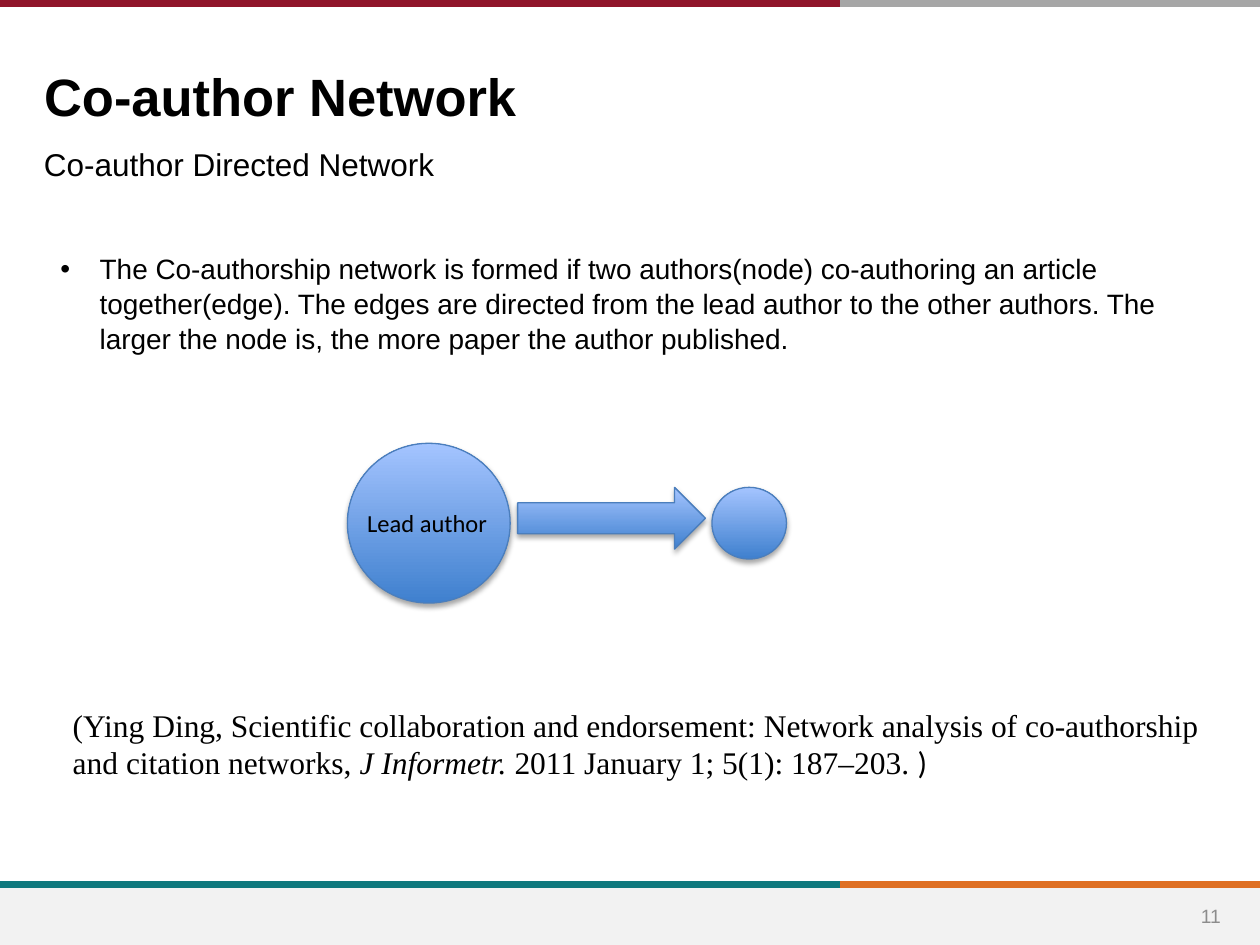
from lxml.etree import SubElement
from pptx import Presentation
from pptx.dml.color import RGBColor
from pptx.enum.shapes import MSO_CONNECTOR, MSO_SHAPE
from pptx.enum.text import MSO_ANCHOR, PP_ALIGN
from pptx.oxml.ns import qn
from pptx.util import Pt

# Content
TITLE = "Co-author Network"
SUBTITLE = "Co-author Directed Network"
BULLET = (
    "The Co-authorship network is formed if two authors(node) co-authoring an article "
    "together(edge). The edges are directed from the lead author to the other authors. "
    "The larger the node is, the more paper the author published."
)
CITATION = [  # text, font, italic
    ("(Ying Ding, Scientific collaboration and endorsement: Network analysis of "
     "co-authorship and citation networks, ", "Times New Roman", False),
    ("J Informetr. ", "Times New Roman", True),
    ("2011 January 1; 5(1): 187–203. ", "Times New Roman", False),
    (")", "Calibri", False),
]
DIAGRAM = [  # preset, left, top, width, height
    (MSO_SHAPE.OVAL, 198.5, 253.3, 93, 91.3),
    (MSO_SHAPE.OVAL, 406.8, 278.5, 42.6, 41),
    (MSO_SHAPE.RIGHT_ARROW, 295.8, 278.5, 107.3, 35.3),
]
COLORS = {
    "black": "000000", "number": "8C8C8C", "footer": "F2F2F2",
    "crimson": "90152A", "gray": "A6A6A6", "teal": "0F787D", "orange": "DF7023",
    "node_dark": "3F80CE", "node_light": "A4C4FF", "node_line": "4B7EBC",
}
WIDTH, HEIGHT, SPLIT = 720, 540, 480
RULES = [(2, "crimson", "gray"), (505.5, "teal", "orange")]  # y, left, right


def color(name):
    return RGBColor.from_string(COLORS[name])


def place(box, left, top, width, height):
    box.left, box.top, box.width, box.height = map(Pt, (left, top, width, height))


def style(span, size, font="Arial", name="black", bold=False, italic=False):
    span.font.size, span.font.name = Pt(size), font
    span.font.bold, span.font.italic = bold, italic
    span.font.color.rgb = color(name)


def write(box, text, size, font="Arial", name="black", bold=False,
          align=PP_ALIGN.LEFT, anchor=MSO_ANCHOR.TOP, wrap=True):
    frame = box.text_frame
    frame.text = text
    frame.word_wrap, frame.vertical_anchor = wrap, anchor
    para = frame.paragraphs[0]
    para.alignment = align
    for span in para.runs:
        style(span, size, font, name, bold)
    return para


def add_text(page, left, top, width, height, text, size, **options):
    box = page.shapes.add_textbox(*map(Pt, (left, top, width, height)))
    return write(box, text, size, **options)


def add_rule(page, start, end, y, name):
    rule = page.shapes.add_connector(
        MSO_CONNECTOR.STRAIGHT, Pt(start), Pt(y), Pt(end), Pt(y))
    rule.line.color.rgb, rule.line.width = color(name), Pt(4)
    SubElement(rule._element.spPr, qn("a:effectLst"))


def add_node(page, preset, *bounds):
    node = page.shapes.add_shape(preset, *map(Pt, bounds))
    node.fill.gradient()
    node.fill.gradient_angle = 90
    for stop, name in zip(node.fill.gradient_stops, ("node_dark", "node_light")):
        stop.color.rgb = color(name)
    node.line.color.rgb, node.line.width = color("node_line"), Pt(0.75)
    # Soft shadow falling straight down
    node.shadow.inherit = False
    effects = node._element.spPr.find(qn("a:effectLst"))
    shadow = SubElement(effects, qn("a:outerShdw"), blurRad=str(Pt(3.1)),
                        dist=str(Pt(1.8)), dir="5400000", rotWithShape="0")
    tone = SubElement(shadow, qn("a:srgbClr"), val=COLORS["black"])
    SubElement(tone, qn("a:alpha"), val="35000")


deck = Presentation()
deck.slide_width, deck.slide_height = Pt(WIDTH), Pt(HEIGHT)
page = deck.slides.add_slide(deck.slide_layouts[5])

# Coloured rules and footer band
for y, left_name, right_name in RULES:
    add_rule(page, SPLIT, WIDTH, y, right_name)
    add_rule(page, 0, SPLIT, y, left_name)
footer = page.shapes.add_shape(
    MSO_SHAPE.RECTANGLE, 0, Pt(507.5), Pt(WIDTH), Pt(HEIGHT - 507.5))
footer.shadow.inherit = False
footer.fill.solid()
footer.fill.fore_color.rgb = color("footer")
footer.line.fill.background()
add_text(page, 673.2, 509, 37.4, 28.8, "11", 11, name="number",
         align=PP_ALIGN.CENTER, anchor=MSO_ANCHOR.MIDDLE)

# Headings
place(page.shapes.title, 18, 33.1, 575.3, 42.5)
write(page.shapes.title, TITLE, 30, bold=True, anchor=MSO_ANCHOR.MIDDLE)
add_text(page, 18, 79.2, 684.7, 32.4, SUBTITLE, 18, wrap=False)

# Explanation
para = add_text(page, 27.4, 139.7, 643.7, 124.6, BULLET, 16)
properties = para._p.get_or_add_pPr()
properties.set("marL", str(Pt(22.5)))
properties.set("indent", str(-Pt(22.5)))
SubElement(properties, qn("a:buFont"), typeface="Arial")
SubElement(properties, qn("a:buChar"), char="•")
para.line_spacing, para.space_after = 1.04, Pt(12)

# Diagram
for preset, *bounds in DIAGRAM:
    add_node(page, preset, *bounds)
add_text(page, 202.7, 286.6, 93, 24.5, "Lead author", 14, font="Calibri")

# Citation
para = add_text(page, 34.5, 399.6, 660.3, 51, "", 18)
for text, font, italic in CITATION:
    span = para.add_run()
    span.text = text
    style(span, 18, font, italic=italic)

deck.save("out.pptx")
